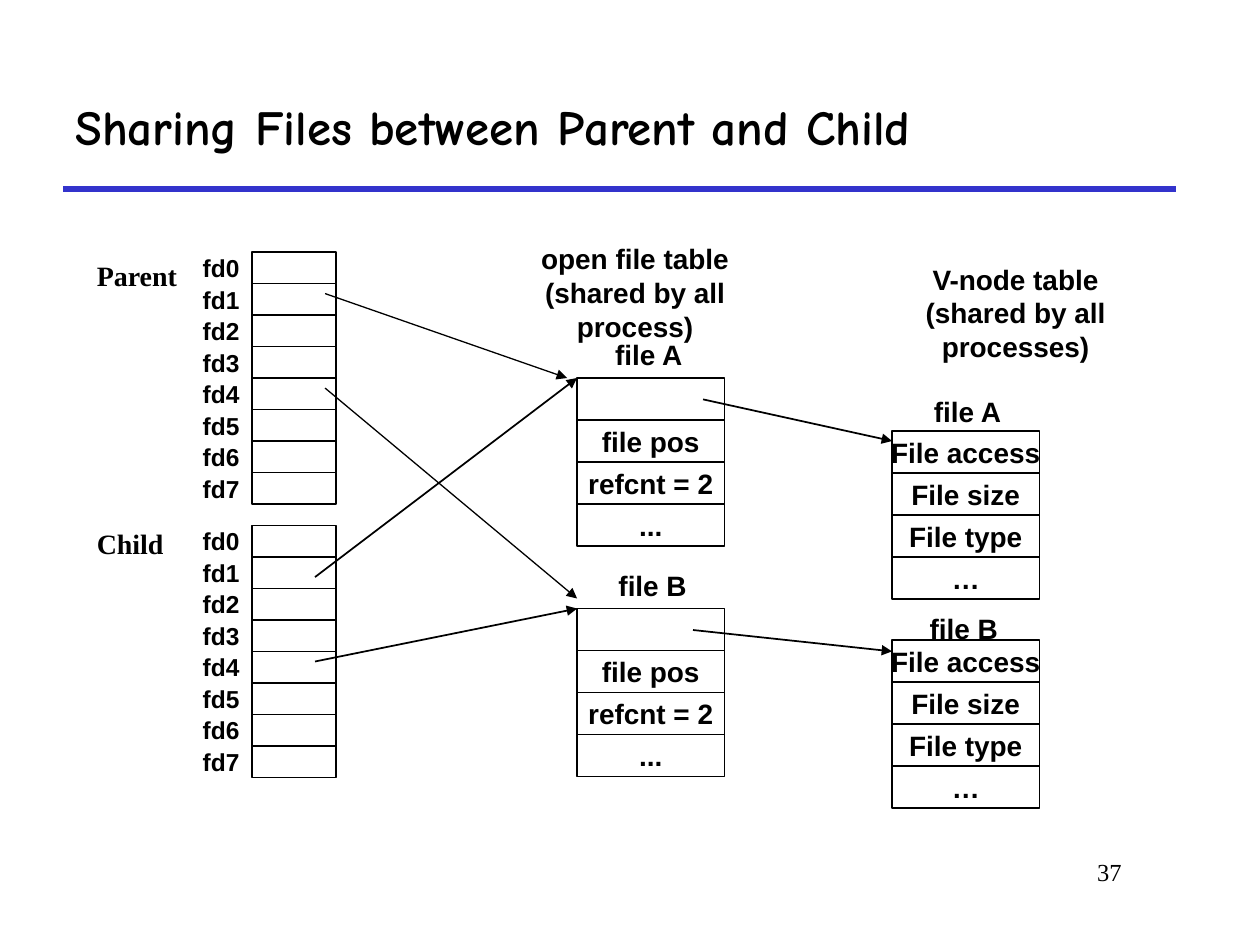
"""Build a slide showing how parent and child processes share open files."""
import pptx
import pptx.dml.color
import pptx.enum.shapes
import pptx.enum.text
import pptx.oxml
import pptx.oxml.ns
import pptx.util

Inches = pptx.util.Inches
Pt = pptx.util.Pt
ALIGN = pptx.enum.text.PP_ALIGN
ANCHOR = pptx.enum.text.MSO_ANCHOR
RECT = pptx.enum.shapes.MSO_SHAPE.RECTANGLE
STRAIGHT = pptx.enum.shapes.MSO_CONNECTOR.STRAIGHT


def rgb(value):
    return pptx.dml.color.RGBColor.from_string(value)


def set_format(target, values):
    for name, value in values.items():
        setattr(target, name, value)


class Sketch:
    ink = "000000"
    label_font = {"name": "Arial", "size": Pt(16), "bold": True}
    fd_font = {"name": "Arial", "size": Pt(14), "bold": True}
    process_font = {"name": "Times New Roman", "size": Pt(16), "bold": True}
    title_font = {"name": "Comic Neue", "size": Pt(28), "bold": True}
    number_font = {"name": "Times New Roman", "size": Pt(14), "bold": False}

    def __init__(self, s):
        self.s = s

    def fill_text(self, sp, lines, font, align, anchor, wrap):
        tf = sp.text_frame
        set_format(tf, {"word_wrap": wrap, "vertical_anchor": anchor})
        for i, line in enumerate(lines):
            p = tf.add_paragraph() if i else tf.paragraphs[0]
            p.alignment = align
            r = p.add_run()
            r.text = line
            set_format(r.font, font)
            r.font.color.rgb = rgb(self.ink)

    def text(self, box, lines, font=label_font, align=ALIGN.CENTER,
             anchor=ANCHOR.MIDDLE, wrap=True, parent=None):
        shapes = (parent or self.s).shapes
        sp = shapes.add_textbox(*map(Inches, box))
        self.fill_text(sp, lines, font, align, anchor, wrap)

    def cell(self, box, label="", parent=None):
        sp = (parent or self.s).shapes.add_shape(RECT, *map(Inches, box))
        sp.shadow.inherit = False
        sp.fill.background()
        sp.line.color.rgb = rgb(self.ink)
        sp.line.width = Pt(1)
        if label:
            self.fill_text(sp, [label], self.label_font, ALIGN.CENTER,
                           ANCHOR.MIDDLE, False)

    def line(self, start, end, width=1, color=ink, arrow=True):
        sp = self.s.shapes.add_connector(STRAIGHT, *map(Inches, start + end))
        sp.line.color.rgb = rgb(color)
        sp.line.width = Pt(width)
        ns = pptx.oxml.ns.nsdecls("a")
        sp_pr = sp._element.spPr
        if arrow:
            ln = sp_pr.find(pptx.oxml.ns.qn("a:ln"))
            ln.append(pptx.oxml.parse_xml(f'<a:tailEnd {ns} type="triangle"/>'))
        sp_pr.append(pptx.oxml.parse_xml(f"<a:effectLst {ns}/>"))

    def entry(self, left, top, labels):
        for i, label in enumerate(labels):
            self.cell((left, top + i / 3, 1.17, 1 / 3), label)

    def descriptors(self, top):
        group = self.s.shapes.add_group_shape()
        for i in range(8):
            y = top + i * 0.25
            self.cell((2, y, 0.67, 0.25), parent=group)
            self.text((1.33, y, 0.67, 0.25), [f"fd{i}"], self.fd_font,
                      ALIGN.RIGHT, wrap=False, parent=group)


def main():
    prs = pptx.Presentation()
    prs.slide_width, prs.slide_height = Inches(10), Inches(7.5)
    sk = Sketch(prs.slides.add_slide(prs.slide_layouts[6]))

    sk.text((0.5, 0.5, 8.83, 1), ["Sharing Files between Parent and Child"],
            sk.title_font, ALIGN.LEFT)
    sk.line((0.5, 1.5), (9.33, 1.5), 3, "3333CC", arrow=False)

    for name, label_top, top in (("Parent", 2, 2), ("Child", 4.13, 4.17)):
        sk.descriptors(top)
        sk.text((0.67, label_top, 1.75, 0.37), [name], sk.process_font,
                ALIGN.LEFT, ANCHOR.TOP)

    sk.text((3.83, 1.87, 2.42, 0.9),
            ["open file table", "(shared by all process)"])
    sk.text((7.12, 2.03, 1.88, 0.9),
            ["V-node table", "(shared by all processes)"])

    open_file = ["", "file pos", "refcnt = 2", "..."]
    v_node = ["File access", "File size", "File type", "…"]
    for left, top, labels in ((4.58, 3, open_file), (4.58, 4.83, open_file),
                              (7.08, 3.42, v_node), (7.08, 5.08, v_node)):
        sk.entry(left, top, labels)

    for left, top, name in ((4.78, 2.63, "file A"), (4.81, 4.46, "file B"),
                            (7.31, 3.08, "file A"), (7.28, 4.8, "file B")):
        sk.text((left, top, 0.74, 0.37), [name], wrap=False)

    for start, end, width in (
            ((2.58, 2.33), (4.5, 3), 0.75),
            ((2.58, 3.08), (4.58, 4.75), 0.75),
            ((2.5, 4.58), (4.58, 3), 1),
            ((2.5, 5.25), (4.58, 4.83), 1),
            ((5.58, 3.17), (7.08, 3.5), 1),
            ((5.5, 5), (7.08, 5.17), 1)):
        sk.line(start, end, width)

    sk.text((7.58, 6.75, 1.42, 0.5), ["37"], sk.number_font, ALIGN.RIGHT,
            ANCHOR.TOP)
    prs.save("out.pptx")


if __name__ == "__main__":
    main()
